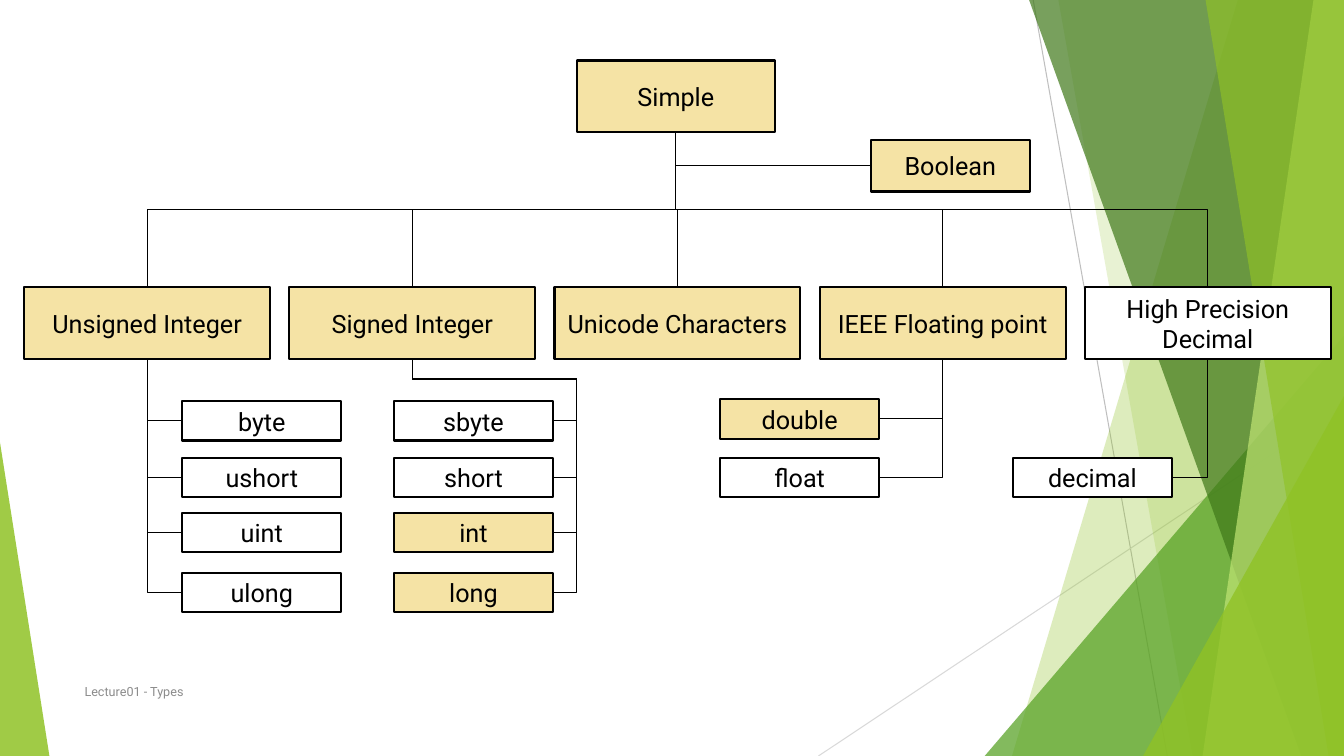
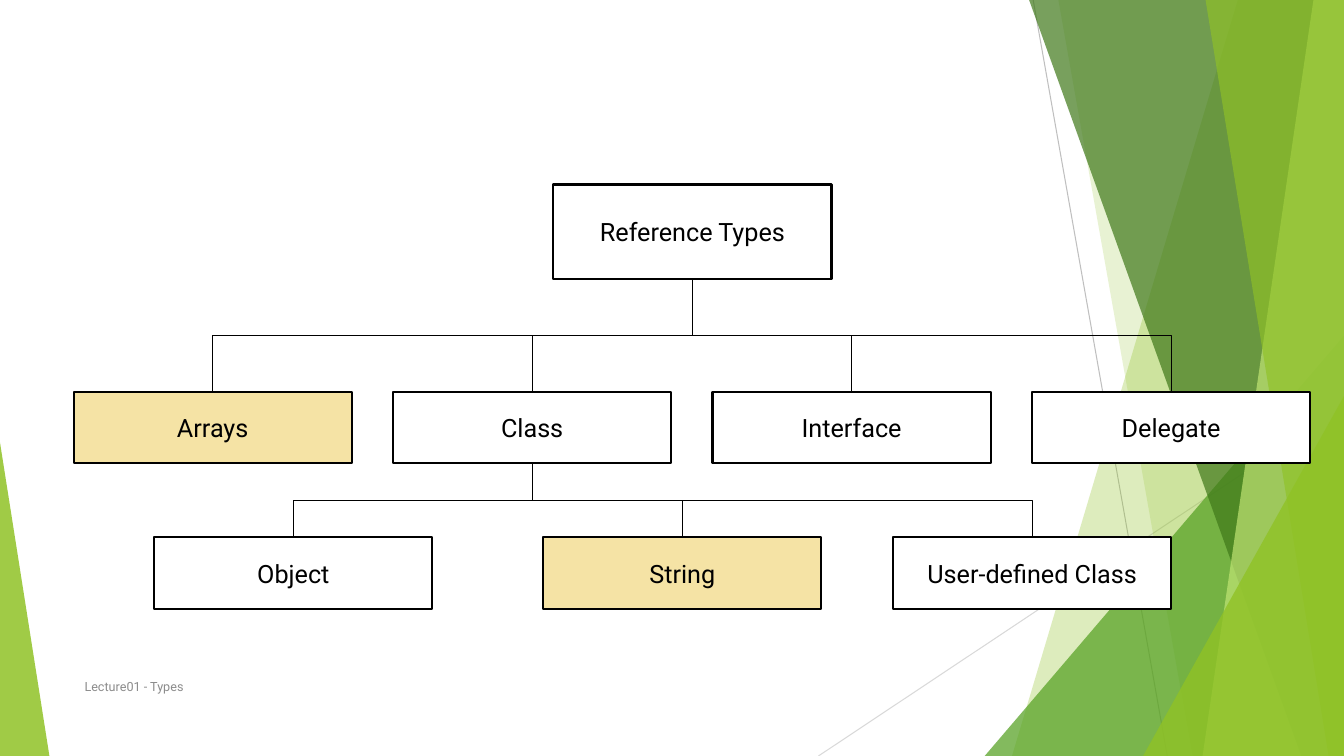
import dataclasses

import lxml.etree
import pptx
import pptx.dml.color
import pptx.enum.shapes
import pptx.enum.text
import pptx.oxml.ns
import pptx.util

Pt = pptx.util.Pt
qn = pptx.oxml.ns.qn
SHAPES = pptx.enum.shapes.MSO_SHAPE
CONNECTORS = pptx.enum.shapes.MSO_CONNECTOR
FONT = "Roboto"
COLOURS = {
    "ink": "000000", "paper": "FFFFFF", "gold": "F5E3A5", "footer": "8C8C8C",
    "grey": "BFBFBF", "pale grey": "D9D9D9", "lime": "90C226",
    "green": "54A021", "dark green": "3F7819", "light lime": "C0E474",
}
TOP, LEFT, BOTTOM, RIGHT = range(4)  # connection sites of a rectangle


@dataclasses.dataclass
class Box:
    left: float
    top: float
    width: float
    height: float

    def inner(self, left, top, width, height):
        return Box(self.left + left, self.top + top, width, height)

    def lengths(self):
        return [Pt(value) for value in dataclasses.astuple(self)]


def colour(name):
    return pptx.dml.color.RGBColor.from_string(COLOURS[name])


def style_text(frame, text, size, ink):
    frame.word_wrap = True
    frame.vertical_anchor = pptx.enum.text.MSO_ANCHOR.MIDDLE
    para = frame.paragraphs[0]
    para.text = text
    para.font.name = FONT
    para.font.size = Pt(size)
    para.font.color.rgb = colour(ink)
    return para


def style_line(connector, ink):
    connector.line.color.rgb = colour(ink)
    connector.line.width = Pt(0.75)
    lxml.etree.SubElement(connector._element.spPr, qn("a:effectLst"))


# Shared backdrop and footer
def paint_facet(shape, fill, opacity):
    shape.shadow.inherit = False
    shape.line.fill.background()
    shape.fill.solid()
    shape.fill.fore_color.rgb = colour(fill)
    tint = shape._element.spPr.find(qn("a:solidFill"))[0]
    lxml.etree.SubElement(tint, qn("a:alpha")).set("val", str(opacity * 1000))


def add_band(shapes, area, top_left, bottom_left, fill, opacity):
    right, bottom = area.left + area.width, area.top + area.height
    builder = shapes.build_freeform(Pt(area.left + top_left), Pt(area.top))
    builder.add_line_segments([
        (Pt(right), Pt(area.top)),
        (Pt(right), Pt(bottom)),
        (Pt(area.left + bottom_left), Pt(bottom)),
    ])
    paint_facet(builder.convert_to_shape(), fill, opacity)


def add_corner(shapes, area, left, top, width, apex, fill, opacity):
    corner = area.inner(left, top, width, area.height - top)
    shape = shapes.add_shape(SHAPES.ISOSCELES_TRIANGLE, *corner.lengths())
    shape.adjustments[0] = apex
    paint_facet(shape, fill, opacity)


def add_backdrop(page, area):
    shapes = page.shapes.add_group_shape().shapes
    for x1, y1, x2, y2, ink in (
        (738, 0, 833.8, 540, "grey"),
        (960, 290.2, 584.6, 540, "pale grey"),
    ):
        ends = (area.left + x1, area.top + y1, area.left + x2, area.top + y2)
        line = shapes.add_connector(CONNECTORS.STRAIGHT, *map(Pt, ends))
        style_line(line, ink)
    add_band(shapes, area, 884.2, 722.9, "lime", 30)
    add_band(shapes, area, 756, 851.8, "lime", 20)
    add_corner(shapes, area, 703.4, 239.8, 256.6, 1, "green", 72)
    add_band(shapes, area, 735.1, 929.5, "dark green", 70)
    add_band(shapes, area, 938.2, 859, "light lime", 70)
    add_band(shapes, area, 861.1, 949, "lime", 65)
    add_corner(shapes, area, 816.5, 283, 143.5, 1, "lime", 80)
    add_corner(shapes, area, 0, 316.1, 35.3, 0, "lime", 85)


def add_footer(page, area):
    box = page.shapes.add_textbox(*area.lengths())
    style_text(box.text_frame, "Lecture01 - Types", 9, "footer")


# Tree parts
def add_node(page, area, text, fill):
    node = page.shapes.add_shape(SHAPES.RECTANGLE, *area.lengths())
    node.shadow.inherit = False
    node.fill.solid()
    node.fill.fore_color.rgb = colour(fill)
    node.line.color.rgb = colour("ink")
    node.line.width = Pt(1.5)
    para = style_text(node.text_frame, text, 18, "ink")
    para.alignment = pptx.enum.text.PP_ALIGN.CENTER
    return node


def join(page, parent, child, side, drop=None, overhang=0):
    """Elbow from the parent's bottom to one side of the child.

    With a drop, it first turns that far below the parent, then runs to a
    rail that stands an overhang to the right of the child.
    """
    start_x = parent.left + parent.width // 2
    start_y = parent.top + parent.height
    end_x = child.left + {TOP: child.width // 2, LEFT: 0, RIGHT: child.width}[side]
    end_y = child.top + (0 if side == TOP else child.height // 2)
    across, down = abs(end_x - start_x), end_y - start_y

    line = page.shapes.add_connector(
        CONNECTORS.ELBOW, start_x, start_y, end_x, end_y)
    line.begin_connect(parent, BOTTOM)
    line.end_connect(child, side)

    # The preset starts sideways, so a quarter turn makes it start downwards
    rightwards = end_x > start_x
    line.left = (start_x + end_x - down) // 2
    line.top = (start_y + end_y - across) // 2
    line.width, line.height = down, across
    frame = line._element.spPr.find(qn("a:xfrm"))
    frame.set("rot", str((270 if rightwards else 90) * 60000))
    frame.set("flipH", "1" if rightwards else "0")

    if side == TOP:
        preset, bends = "bentConnector3", [0.5]
    elif drop is None:
        preset, bends = "bentConnector2", []
    else:
        preset = "bentConnector4"
        bends = [Pt(drop) / down, (across + Pt(overhang)) / across]
    geometry = line._element.spPr.find(qn("a:prstGeom"))
    geometry.set("prst", preset)
    guides = geometry.find(qn("a:avLst"))
    if guides is None:
        guides = lxml.etree.SubElement(geometry, qn("a:avLst"))
    for number, bend in enumerate(bends, 1):
        guide = lxml.etree.SubElement(guides, qn("a:gd"))
        guide.set("name", f"adj{number}")
        guide.set("fmla", f"val {round(bend * 100000)}")
    style_line(line, "ink")


def add_simple_types(page, area):
    root = add_node(page, area.inner(394.6, 0, 141.8, 51.1), "Simple", "gold")
    boolean = add_node(page, area.inner(604.8, 56.9, 113.4, 36.7), "Boolean", "gold")
    join(page, root, boolean, LEFT)

    # Families: name, fill, leaf left, leaf side, rail, leaves (name, top, fill)
    rows = (243.4, 283.7, 323.3, 365.8)
    unsigned = zip(("byte", "ushort", "uint", "ulong"), rows, ["paper"] * 4)
    signed = zip(("sbyte", "short", "int", "long"), rows,
                 ("paper", "paper", "gold", "gold"))
    floating = (("double", 242, "gold"), ("float", rows[1], "paper"))
    rail = {"drop": 14.4, "overhang": 17.28}
    families = (
        ("Unsigned Integer", "gold", 113, LEFT, {}, unsigned),
        ("Signed Integer", "gold", 264.2, RIGHT, rail, signed),
        ("Unicode Characters", "gold", 0, LEFT, {}, ()),
        ("IEEE Floating point", "gold", 497.2, RIGHT, {}, floating),
        ("High Precision Decimal", "paper", 706.3, RIGHT, {},
         [("decimal", rows[1], "paper")]),
    )
    for column, (name, fill, left, side, bend, leaves) in enumerate(families):
        place = area.inner(column * 189.4, 162, 175.7, 51.1)
        family = add_node(page, place, name, fill)
        join(page, root, family, TOP)
        for text, top, leaf_fill in leaves:
            leaf = add_node(page, area.inner(left, top, 113.4, 28.1), text, leaf_fill)
            join(page, family, leaf, side, **bend)


def add_reference_types(page, area):
    width, height = 198.7, 51.1
    root = add_node(page, area.inner(342.7, 0, width, 67.7), "Reference Types", "paper")
    kinds = {}
    for column, name in enumerate(("Arrays", "Class", "Interface", "Delegate")):
        place = area.inner(column * 228.2, 148, width, height)
        fill = "gold" if name == "Arrays" else "paper"
        kinds[name] = add_node(page, place, name, fill)
        join(page, root, kinds[name], TOP)
    for name, left, fill in (
        ("Object", 57.6, "paper"),
        ("String", 335.5, "gold"),
        ("User-defined Class", 585.4, "paper"),
    ):
        node = add_node(page, area.inner(left, 252, width, height), name, fill)
        join(page, kinds["Class"], node, TOP)


# Deck
deck = pptx.Presentation()
slide_area = Box(0, 0, 960, 540)
deck.slide_width, deck.slide_height = Pt(960), Pt(540)
for add_tree, tree_area, footer_top in (
    (add_simple_types, Box(17.3, 43.2, 933.3, 394), 479.5),
    (add_reference_types, Box(52.6, 131.8, 883.3, 303.1), 475.9),
):
    page = deck.slides.add_slide(deck.slide_layouts[6])
    add_backdrop(page, slide_area)
    add_tree(page, tree_area)
    add_footer(page, slide_area.inner(53.3, footer_top, 496.1, 28.8))
deck.save("out.pptx")
